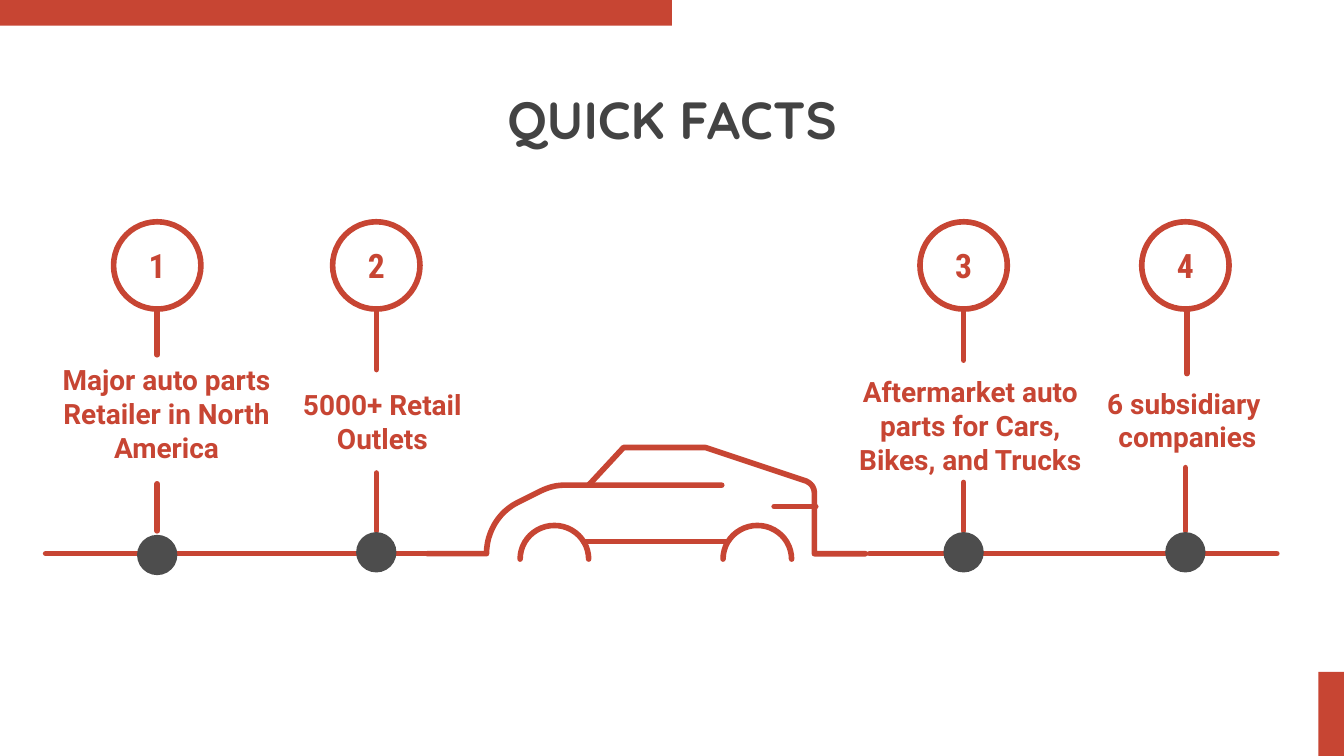
import math

import pptx
import pptx.dml.color
import pptx.enum.shapes
import pptx.enum.text
import pptx.oxml
import pptx.oxml.ns
import pptx.util
from pptx.util import Inches

COLORS = {"red": "C74533", "dot": "4D4D4D", "title": "434343", "white": "FFFFFF"}
COLORS = {name: pptx.dml.color.RGBColor.from_string(value) for name, value in COLORS.items()}
OVAL = pptx.enum.shapes.MSO_SHAPE.OVAL
RECTANGLE = pptx.enum.shapes.MSO_SHAPE.RECTANGLE

# Widescreen slide, 16:9
deck = pptx.Presentation()
deck.slide_width, deck.slide_height = Inches(10), Inches(10 * 9 / 16)
slide = deck.slides.add_slide(deck.slide_layouts[5])
shapes = slide.shapes


def draw_stroke(points):
    """Draw an open red line with round ends through the points, in inches."""
    if len(points) == 2:
        (x1, y1), (x2, y2) = points
        stroke = shapes.add_connector(pptx.enum.shapes.MSO_CONNECTOR.STRAIGHT,
                                      Inches(x1), Inches(y1), Inches(x2), Inches(y2))
        stroke._element.spPr.append(pptx.oxml.parse_xml(
            "<a:effectLst %s/>" % pptx.oxml.ns.nsdecls("a")))
    else:
        builder = shapes.build_freeform(Inches(points[0][0]), Inches(points[0][1]))
        builder.add_line_segments([(Inches(x), Inches(y)) for x, y in points[1:]], close=False)
        stroke = builder.convert_to_shape()
        stroke.fill.background()
        stroke.shadow.inherit = False
    stroke.line.color.rgb = COLORS["red"]
    stroke.line.width = pptx.util.Pt(3)
    stroke.line._get_or_add_ln().set("cap", "rnd")


def write_text(shape, lines, font_name, size, color):
    """Fill a shape with bold, centred lines of text."""
    frame = shape.text_frame
    frame.text = "\n".join(lines)
    frame.word_wrap = True
    frame.vertical_anchor = pptx.enum.text.MSO_ANCHOR.MIDDLE
    frame.margin_left = frame.margin_right = Inches(0.1)
    frame.margin_top = frame.margin_bottom = Inches(0.1)
    for paragraph in frame.paragraphs:
        paragraph.alignment = pptx.enum.text.PP_ALIGN.CENTER
        paragraph.font.name = font_name
        paragraph.font.size = pptx.util.Pt(size)
        paragraph.font.bold = True
        paragraph.font.color.rgb = COLORS[color]


# Corner bars
for left, top, width, height in [(0, 0, 5, 0.19), (9.81, 5, 0.19, 0.63)]:
    bar = shapes.add_shape(RECTANGLE, Inches(left), Inches(top), Inches(width), Inches(height))
    bar.shadow.inherit = False
    bar.fill.solid()
    bar.fill.fore_color.rgb = COLORS["red"]
    bar.line.fill.background()

# Title
title = shapes.title
title.left, title.top, title.width, title.height = (
    Inches(0.45), Inches(0.62), Inches(9.1), Inches(0.53))
write_text(title, ["QUICK FACTS"], "Quicksand", 28, "title")

# Car body: a point is a corner, four points are a Bezier curve
hood = [(3.18, 4.12), ((3.62, 4.12), (3.62, 3.96), (3.71, 3.81), (3.85, 3.74)),
        ((4.01, 3.66), (4.07, 3.63), (4.13, 3.61), (4.2, 3.61)), (5.37, 3.61)]
roof = [(6.44, 4.12), (6.06, 4.12), ((6.06, 3.67), (6.06, 3.63), (6.04, 3.6), (6, 3.58)),
        (5.25, 3.33), (4.64, 3.33), (4.38, 3.61)]
STEPS = 12
for outline in (hood, roof):
    points = []
    for part in outline:
        if len(part) == 2:
            points.append(part)
            continue
        for step in range(STEPS + 1):
            t = step / STEPS
            weights = [math.comb(3, i) * t**i * (1 - t)**(3 - i) for i in range(4)]
            points.append(tuple(sum(w * p[axis] for w, p in zip(weights, part))
                                for axis in (0, 1)))
    draw_stroke(points)

# Wheel arches
for left, right in [(3.87, 4.38), (5.38, 5.89)]:
    center, radius = (left + right) / 2, (right - left) / 2
    angles = [math.pi * step / 24 for step in range(25)]
    draw_stroke([(center - radius * math.cos(a), 4.16 - 0.25 * math.sin(a)) for a in angles])

# Sill, tail light and road
for x1, x2, y in [(4.34, 5.4, 4.03), (5.76, 6.07, 3.77), (0.34, 3.27, 4.12), (6.47, 9.5, 4.12)]:
    draw_stroke([(x1, y), (x2, y)])

# Facts: lines, centre, text box left, top and width, upper stem x and end,
# lower stem start, dot top
facts = [
    (["Major auto parts Retailer in North America"],
     1.17, 0.36, 2.84, 1.76, 1.17, 2.64, 3.6, 3.98),
    (["5000+ Retail Outlets"], 2.8, 2.15, 2.9, 1.39, 2.8, 2.75, 3.52, 3.96),
    (["Aftermarket auto parts for Cars, Bikes, and Trucks"],
     7.17, 6.27, 2.93, 1.9, 7.17, 2.68, 3.59, 3.96),
    (["6 subsidiary ", "companies"], 8.82, 8.09, 2.89, 1.49, 8.83, 2.78, 3.48, 3.96),
]
BADGE = 0.65
DOT = 0.3
for number, (lines, center, left, top, width, stem_x, stem_end, stem_start,
             dot_top) in enumerate(facts, 1):
    draw_stroke([(stem_x, 2.31), (stem_x, stem_end)])
    draw_stroke([(center, stem_start), (center, 3.95)])

    fact = shapes.add_textbox(Inches(left), Inches(top), Inches(width), Inches(0.47))
    write_text(fact, lines, "Roboto", 15, "red")

    dot = shapes.add_shape(OVAL, Inches(center - DOT / 2), Inches(dot_top),
                           Inches(DOT), Inches(DOT))
    dot.shadow.inherit = False
    dot.fill.solid()
    dot.fill.fore_color.rgb = COLORS["dot"]
    dot.line.fill.background()

    badge = shapes.add_shape(OVAL, Inches(center - BADGE / 2), Inches(1.65),
                             Inches(BADGE), Inches(BADGE))
    badge.shadow.inherit = False
    badge.fill.solid()
    badge.fill.fore_color.rgb = COLORS["white"]
    badge.line.color.rgb = COLORS["red"]
    badge.line.width = pptx.util.Pt(3)
    write_text(badge, [str(number)], "Roboto Condensed", 18, "red")

deck.save("out.pptx")
